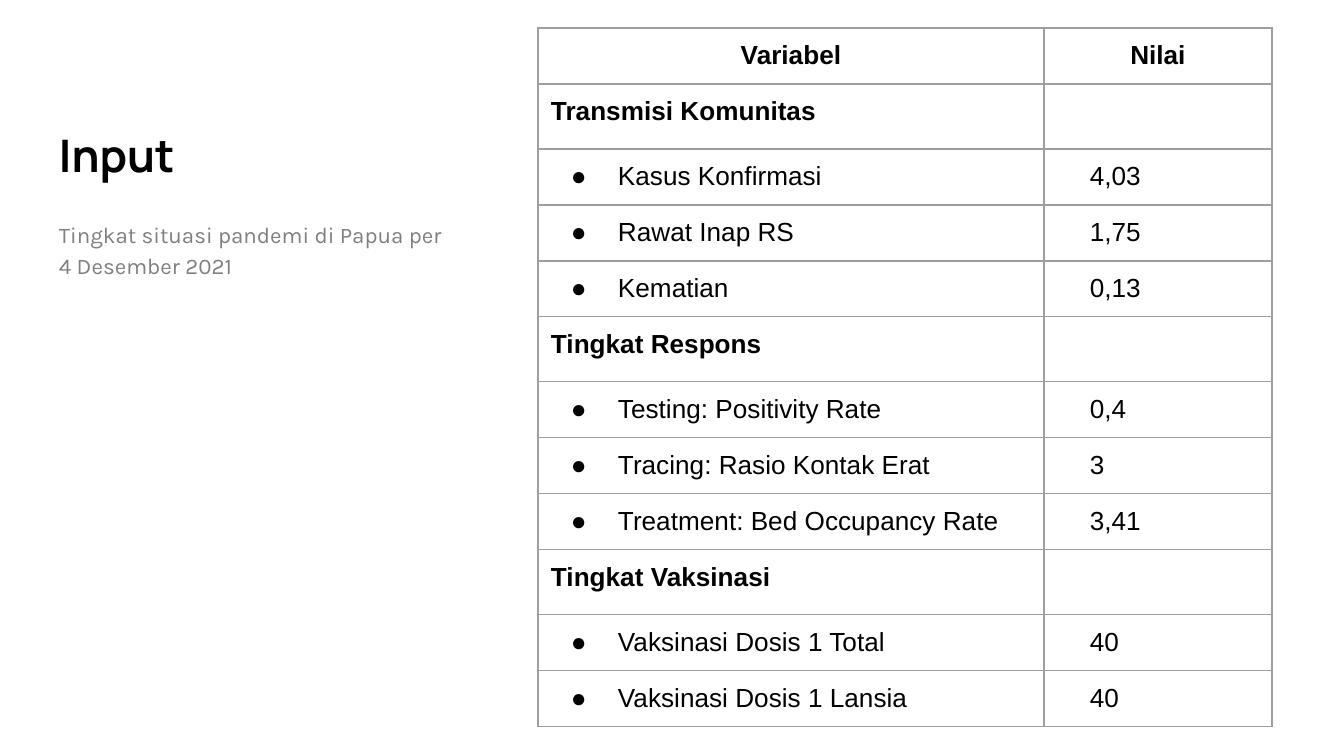
from lxml import etree
from pptx import Presentation
from pptx import util as u
from pptx.dml import color
from pptx.enum import text
from pptx.oxml import ns

ROWS = [
    ("Transmisi Komunitas", ""),
    ("Kasus Konfirmasi", "4,03"),
    ("Rawat Inap RS", "1,75"),
    ("Kematian", "0,13"),
    ("Tingkat Respons", ""),
    ("Testing: Positivity Rate", "0,4"),
    ("Tracing: Rasio Kontak Erat", "3"),
    ("Treatment: Bed Occupancy Rate", "3,41"),
    ("Tingkat Vaksinasi", ""),
    ("Vaksinasi Dosis 1 Total", "40"),
    ("Vaksinasi Dosis 1 Lansia", "40"),
]


def px(n):
    return u.Emu(round(n * 914400 / 134.4))


def rgb(code):
    return color.RGBColor.from_string(code)


def node(base, tag, **attrs):
    return etree.SubElement(base, ns.qn(tag), **attrs)


def write(frame, words, font="Arial", size=14, ink="000000", bold=False,
          align="LEFT", space=1, after=0, left=0, hang=0, mark=None):
    para = frame.paragraphs[0]
    para.alignment = getattr(text.PP_ALIGN, align)
    para.line_spacing = space
    para.space_before = u.Pt(0)
    para.space_after = u.Pt(after)
    props = para._p.get_or_add_pPr()
    props.set("marL", str(px(left)))
    props.set("indent", str(px(-hang)))
    if mark:
        tint = node(props, "a:buClr")
        node(tint, "a:srgbClr", val=ink)
        node(props, "a:buFont", typeface=font)
        node(props, "a:buChar", char=mark)
    else:
        node(props, "a:buNone")
    run = para.add_run()
    run.text = words
    run.font.name = font
    run.font.size = u.Pt(size)
    run.font.bold = bold
    run.font.color.rgb = rgb(ink)


class Deck:
    pad = 13
    edge = "9E9E9E"

    def __init__(self, wide, high):
        self.file = Presentation()
        self.file.slide_width, self.file.slide_height = px(wide), px(high)
        self.slide = self.file.slides.add_slide(self.file.slide_layouts[1])

    def inset(self, item):
        item.margin_left = item.margin_right = px(self.pad)
        item.margin_top = item.margin_bottom = px(self.pad)

    def holder(self, index, box, words, anchor, **style):
        shape = self.slide.placeholders[index]
        shape.left, shape.top, shape.width, shape.height = map(px, box)
        frame = shape.text_frame
        frame.word_wrap = True
        frame.auto_size = text.MSO_AUTO_SIZE.NONE
        frame.vertical_anchor = anchor
        self.inset(frame)
        write(frame, words, **style)

    def border(self, cell):
        props = cell._tc.get_or_add_tcPr()
        for spot, side in enumerate("LRTB"):
            line = node(props, "a:ln" + side, w=str(u.Pt(0.75)))
            fill = node(line, "a:solidFill")
            node(fill, "a:srgbClr", val=self.edge)
            props.insert(spot, line)

    def cell(self, cell, words, **style):
        cell.fill.background()
        self.border(cell)
        if words:
            self.inset(cell)
            write(cell.text_frame, words, **style)

    def table(self, left, top, cols, rows):
        frame = self.slide.shapes.add_table(
            len(rows), len(cols), px(left), px(top), px(sum(cols)), px(sum(rows)))
        grid = frame.table
        grid.first_row = grid.horz_banding = False
        for col, size in zip(grid.columns, cols):
            col.width = px(size)
        for row, size in zip(grid.rows, rows):
            row.height = px(size)
        return grid


def main():
    deck = Deck(1344, 756)
    deck.holder(0, (46, 82, 412, 112), "Input", text.MSO_ANCHOR.BOTTOM,
                font="Manrope", size=24, bold=True)
    deck.holder(1, (46, 204, 412, 468),
                "Tingkat situasi pandemi di Papua per 4 Desember 2021",
                text.MSO_ANCHOR.TOP, font="Karla", size=12, ink="7F7F7F",
                space=1.15, after=12)
    highs = [56] + [56 if value else 65 for _, value in ROWS]
    grid = deck.table(538, 28, [506, 228], highs)
    for col, head in enumerate(("Variabel", "Nilai")):
        deck.cell(grid.cell(0, col), head, bold=True, align="CENTER")
    for row, (name, value) in enumerate(ROWS, 1):
        if value:
            style = dict(left=67, hang=47, mark="●")
        else:
            style = dict(bold=True)
        deck.cell(grid.cell(row, 0), name, **style)
        deck.cell(grid.cell(row, 1), value, left=67, hang=34)
    deck.file.save("out.pptx")


if __name__ == "__main__":
    main()
